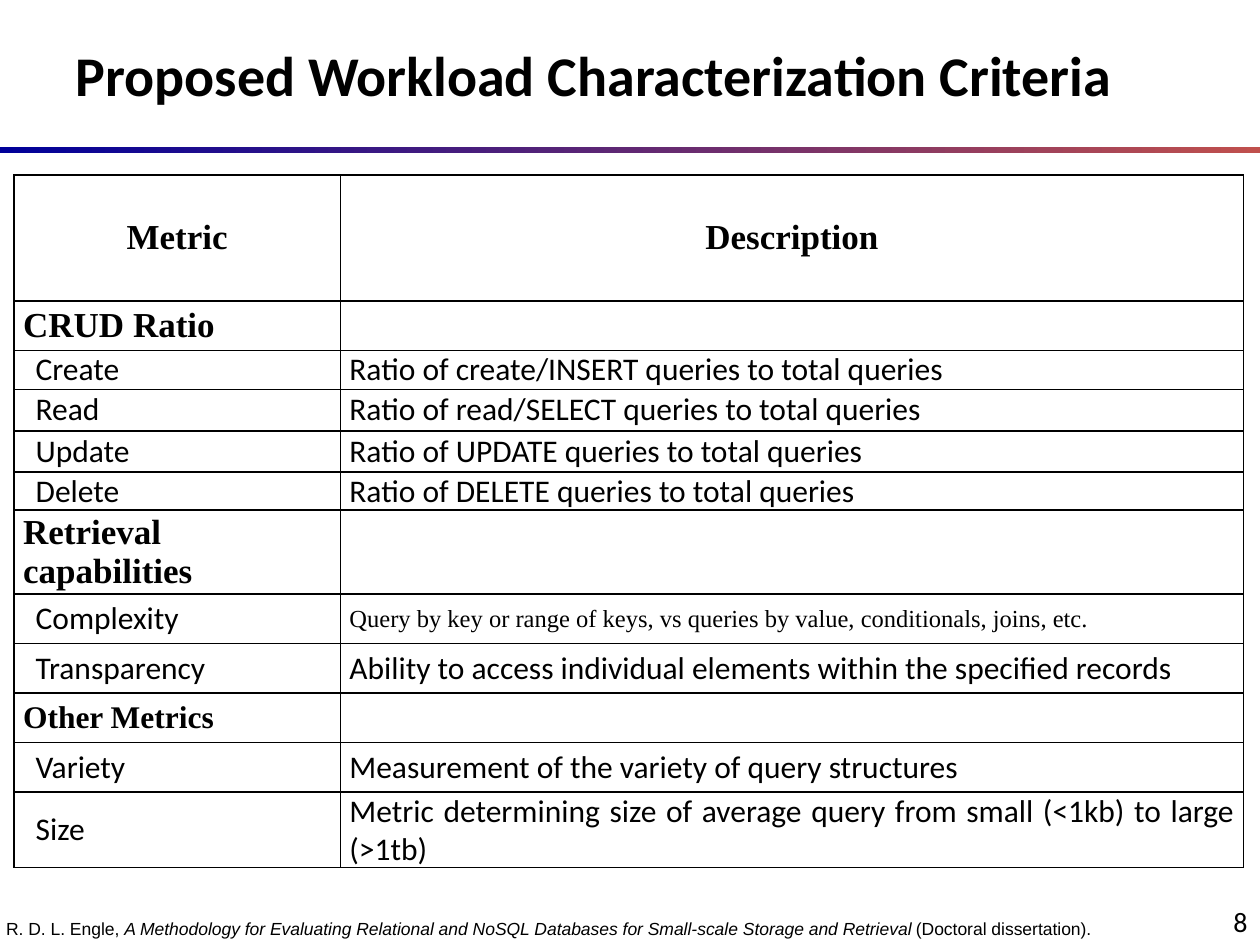
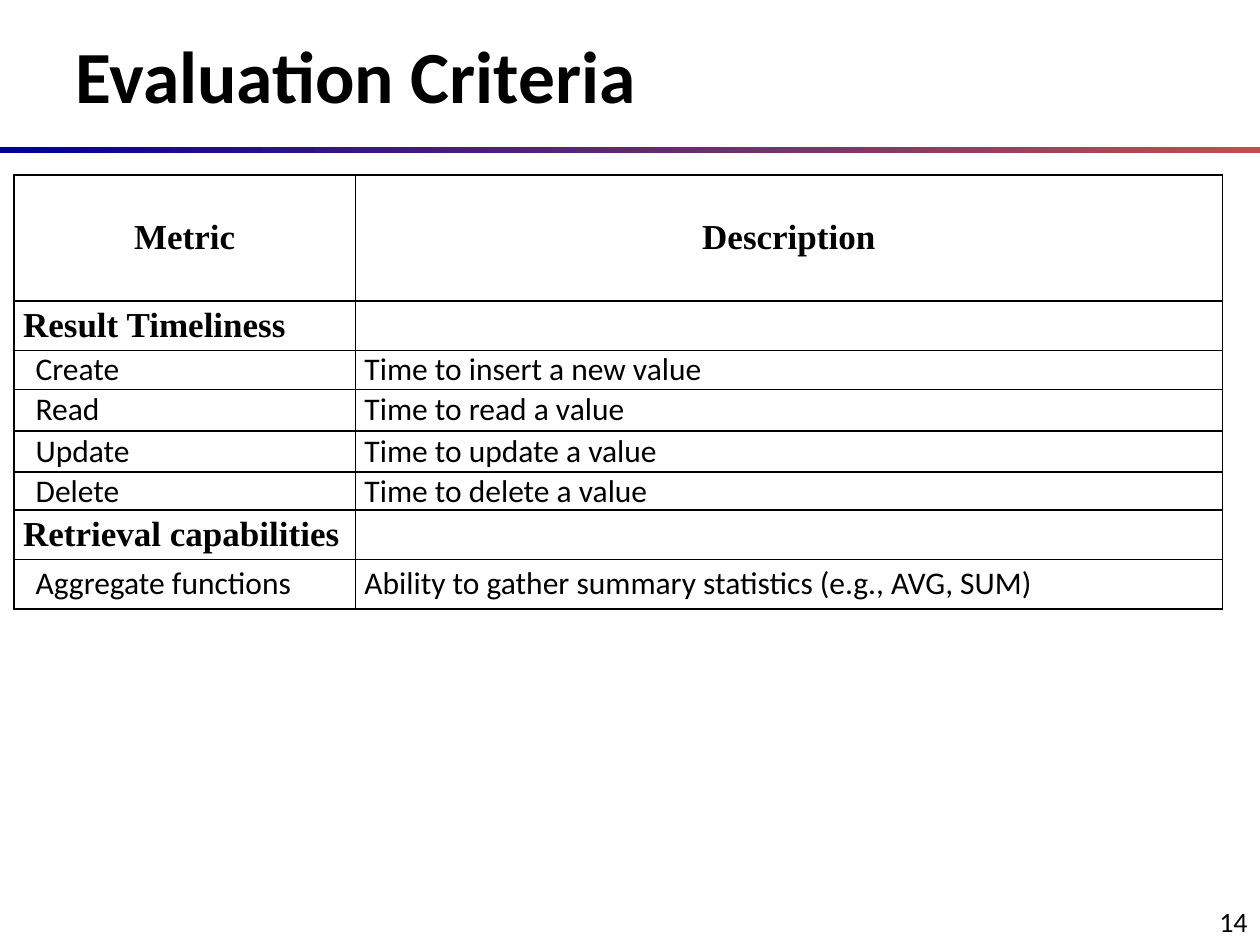
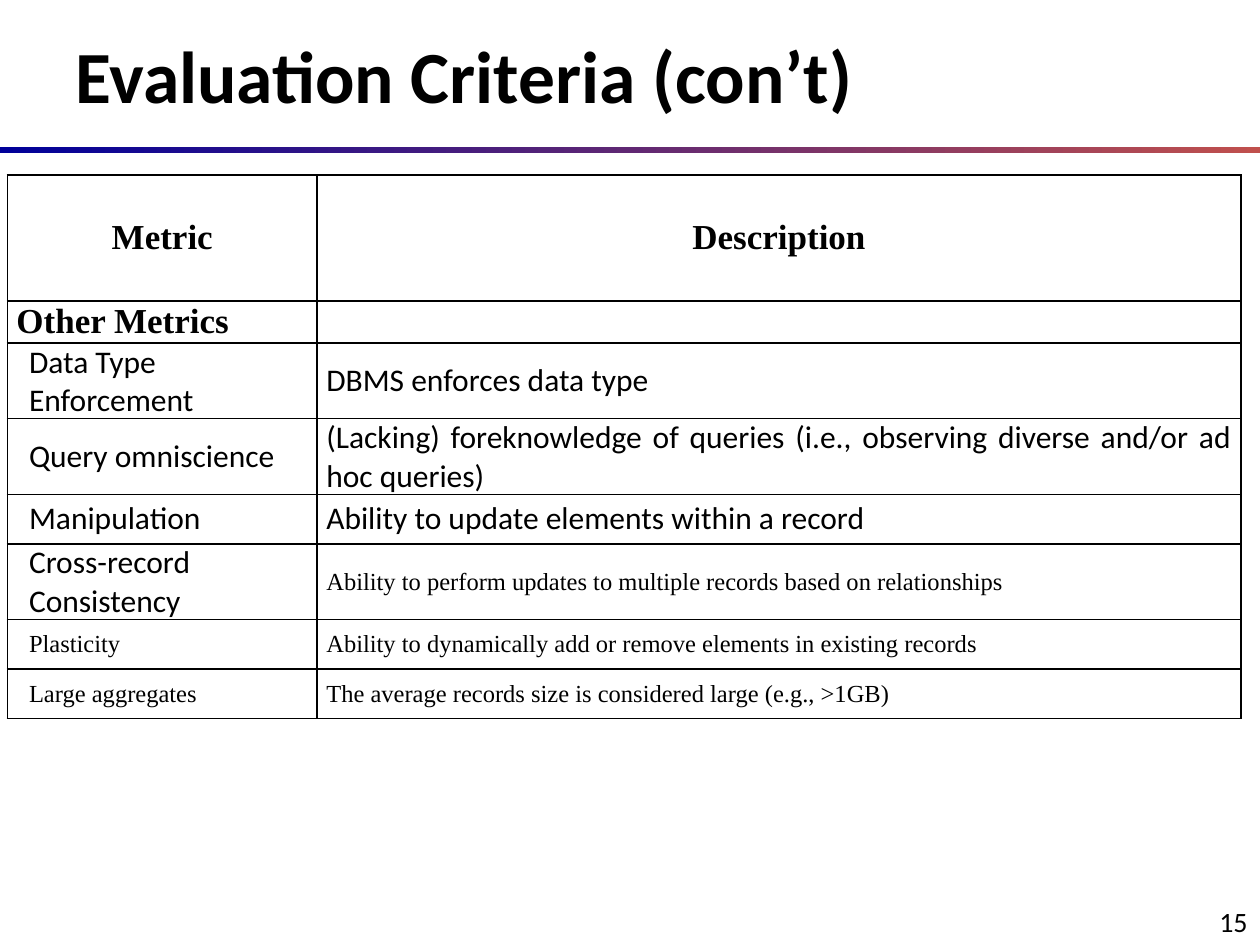
"""Build three slides of workload and evaluation criteria tables."""
import lxml.etree
import pptx
import pptx.dml.color
import pptx.enum.shapes
import pptx.enum.text
import pptx.oxml.ns
import pptx.util

Pt = pptx.util.Pt
RGB = pptx.dml.color.RGBColor
Align = pptx.enum.text.PP_ALIGN
Anchor = pptx.enum.text.MSO_ANCHOR
qn = pptx.oxml.ns.qn

BLACK = RGB(0x00, 0x00, 0x00)
NAVY = RGB(0x00, 0x00, 0x99)
RED = RGB(0xC0, 0x50, 0x4D)
SANS, SERIF, FOOT = "Calibri", "Times New Roman", "Arial"
PLAIN = "{2D5ABB26-0587-4C30-8999-92F81FD0307C}"

HEAD = (SERIF, 20, True)
SUB = (SERIF, 18, True)
BODY = (SANS, 18, False)
SMALL = (SERIF, 14, False)

TALL, MID, LOW, SLIM = 28.3, 23.6, 22.3, 18.7
CRUD = (("Create", LOW), ("Read", MID), ("Update", MID), ("Delete", SLIM))


def group(name, high=TALL, font=HEAD):
    return high, (name, font), ("", font)


def item(name, note, high=TALL, left=BODY, right=BODY):
    return high, (name, left), (note, right)


def crud(notes):
    return [item(name, note, high) for (name, high), note in zip(CRUD, notes)]


class Deck:
    def __init__(self):
        self.prs = pptx.Presentation()
        self.prs.slide_width, self.prs.slide_height = Pt(720), Pt(540)

    def style(self, para, font, align=Align.LEFT):
        para.alignment = align
        para.font.name, size, para.font.bold = font
        para.font.size = Pt(size)
        para.font.color.rgb = BLACK

    def start(self, title, size, number):
        self.slide = self.prs.slides.add_slide(self.prs.slide_layouts[5])
        self.band()
        self.text((648, 513.4, 72, 26.6), [(str(number), False)], (SANS, 16, False), Align.RIGHT)
        head = self.slide.shapes.title
        head.left, head.top, head.width, head.height = Pt(36), Pt(12.2), Pt(654), Pt(60)
        head.text_frame.text = title
        head.text_frame.vertical_anchor = Anchor.MIDDLE
        self.style(head.text_frame.paragraphs[0], (SANS, size, True))

    def band(self):
        kind = pptx.enum.shapes.MSO_SHAPE.RECTANGLE
        bar = self.slide.shapes.add_shape(kind, 0, Pt(84), Pt(720), Pt(3.6))
        bar.shadow.inherit = False
        bar.line.fill.background()
        bar.fill.gradient()
        bar.fill.gradient_angle = 0
        for stop, place, color in zip(bar.fill.gradient_stops, (0, 1), (NAVY, RED)):
            stop.position = place
            stop.color.rgb = color

    def text(self, area, runs, font, align=Align.LEFT, anchor=Anchor.TOP):
        frame = self.slide.shapes.add_textbox(*map(Pt, area)).text_frame
        frame.word_wrap = True
        frame.vertical_anchor = anchor
        para = frame.paragraphs[0]
        self.style(para, font, align)
        for words, slant in runs:
            run = para.add_run()
            run.text = words
            if slant:
                run.font.italic = True

    def border(self, cell):
        props = cell._tc.get_or_add_tcPr()
        for side in ("a:lnL", "a:lnR", "a:lnT", "a:lnB"):
            line = lxml.etree.SubElement(props, qn(side), w=str(Pt(1)))
            fill = lxml.etree.SubElement(line, qn("a:solidFill"))
            lxml.etree.SubElement(fill, qn("a:srgbClr"), val=str(BLACK))

    def cell(self, cell, words, font, align, indent):
        cell.text = words
        cell.vertical_anchor = Anchor.MIDDLE
        cell.margin_left = cell.margin_right = Pt(5.2)
        cell.margin_top = cell.margin_bottom = 0
        para = cell.text_frame.paragraphs[0]
        self.style(para, font, align)
        if indent:
            para._p.get_or_add_pPr().set("marL", str(Pt(7.2)))
        self.border(cell)
        cell.fill.background()

    def table(self, left, widths, body):
        rows = [(72, ("Metric", HEAD), ("Description", HEAD))] + body
        area = left, 100, sum(widths), sum(row[0] for row in rows)
        frame = self.slide.shapes.add_table(len(rows), 2, *map(Pt, area))
        table = frame.table
        table.first_row = table.horz_banding = False
        table._tbl.tblPr.find(qn("a:tableStyleId")).text = PLAIN
        for col, width in zip(table.columns, widths):
            col.width = Pt(width)
        for r, (high, *pair) in enumerate(rows):
            table.rows[r].height = Pt(high)
            for c, (words, font) in enumerate(pair):
                align = Align.LEFT
                if r == 0:
                    align = Align.CENTER
                elif c == 1 and font == BODY:
                    align = Align.JUSTIFY
                indent = c == 0 and font in (BODY, SMALL)
                self.cell(table.cell(r, c), words, font, align, indent)


def main():
    deck = Deck()

    deck.start("Proposed Workload Characterization Criteria", 32, 8)
    verbs = ("create/INSERT", "read/SELECT", "UPDATE", "DELETE")
    deck.table(8, (186.5, 516.2), [
        group("CRUD Ratio"),
        *crud([f"Ratio of {verb} queries to total queries" for verb in verbs]),
        group("Retrieval capabilities"),
        item("Complexity", "Query by key or range of keys, vs queries by value, "
             "conditionals, joins, etc.", right=SMALL),
        item("Transparency", "Ability to access individual elements within the specified records"),
        group("Other Metrics", font=SUB),
        item("Variety", "Measurement of the variety of query structures"),
        item("Size", "Metric determining size of average query from small (<1kb) to large (>1tb)"),
    ])
    deck.text((-3.6, 520.6, 702, 19.4), [
        ("R. D. L. Engle, ", False),
        ("A Methodology for Evaluating Relational and NoSQL Databases "
         "for Small-scale Storage and Retrieval ", True),
        ("(Doctoral dissertation).", False),
    ], (FOOT, 10, False), anchor=Anchor.BOTTOM)

    deck.start("Evaluation Criteria", 42, 14)
    acts = ("insert a new", "read a", "update a", "delete a")
    deck.table(8, (195.1, 495.4), [
        group("Result Timeliness"),
        *crud([f"Time to {act} value" for act in acts]),
        group("Retrieval capabilities"),
        item("Aggregate functions", "Ability to gather summary statistics (e.g., AVG, SUM)"),
    ])

    deck.start("Evaluation Criteria (con’t)", 42, 15)
    deck.table(4.2, (177.1, 527.8), [
        group("Other Metrics", LOW),
        item("Data Type Enforcement", "DBMS enforces data type", LOW),
        item("Query omniscience", "(Lacking) foreknowledge of queries "
             "(i.e., observing diverse and/or ad hoc queries)"),
        item("Manipulation", "Ability to update elements within a record"),
        item("Cross-record Consistency", "Ability to perform updates to multiple records "
             "based on relationships", right=SMALL),
        item("Plasticity", "Ability to dynamically add or remove elements in existing records",
             left=SMALL, right=SMALL),
        item("Large aggregates", "The average records size is considered large (e.g., >1GB)",
             left=SMALL, right=SMALL),
    ])

    deck.prs.save("out.pptx")


if __name__ == "__main__":
    main()
